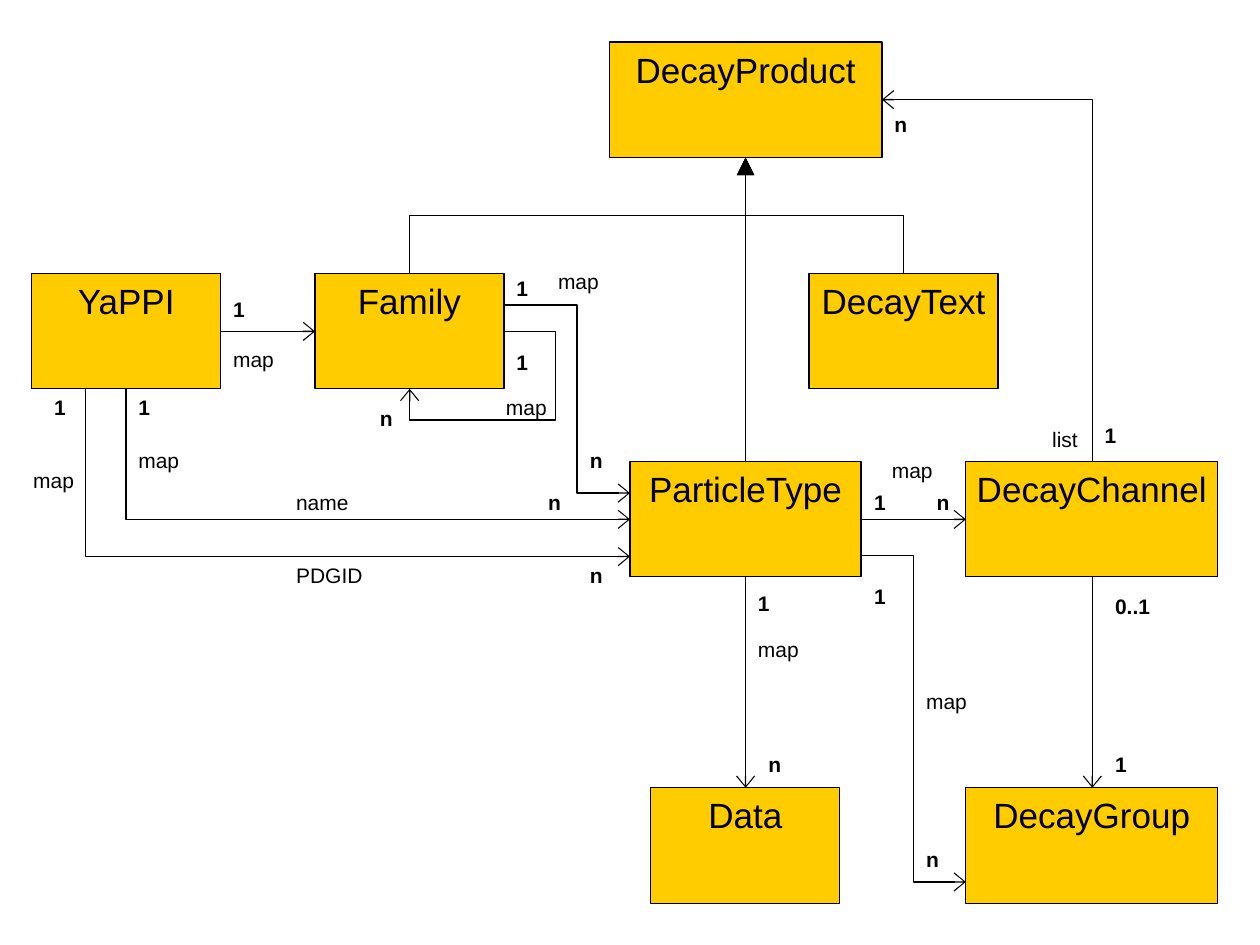
"""Build a class diagram slide of particle decay types and their relations."""
from dataclasses import dataclass
from typing import NamedTuple

from lxml.etree import SubElement
from pptx import Presentation
from pptx.dml.color import RGBColor
from pptx.enum.shapes import MSO_CONNECTOR as Route, MSO_SHAPE as Preset
from pptx.enum.text import MSO_ANCHOR as Anchor, MSO_AUTO_SIZE as AutoSize, PP_ALIGN as Align
from pptx.oxml.ns import qn
from pptx.util import Cm, Pt


@dataclass(frozen=True)
class Theme:
    font: str = "Arial"
    ink: RGBColor = RGBColor(0, 0, 0)
    box_fill: RGBColor = RGBColor(0xFF, 0xCC, 0x00)
    name_size: Pt = Pt(20)
    label_size: Pt = Pt(12)
    line_width: Pt = Pt(0.75)


class ClassBox(NamedTuple):
    name: str
    left: float
    top: float
    width: float


class Label(NamedTuple):
    text: str
    width: float
    bold: bool
    spots: list[tuple[float, float]]


class Link(NamedTuple):
    start: tuple[float, float]
    end: tuple[float, float]
    preset: str = "line"
    vertical: bool = False
    bends: tuple[int, ...] = ()
    arrow: str = "arrow"


THEME = Theme()
HEAD_LENGTHS = {"arrow": "med", "triangle": "lg"}
BOX_HEIGHT = 2.33
LABEL_HEIGHT = 0.76
TOP_ROW, MIDDLE_ROW, LOWER_ROW, BOTTOM_ROW = 0.85, 5.51, 9.3, 15.88
PARENT = (15.03, TOP_ROW + BOX_HEIGHT)

BOXES = [
    ClassBox("DecayProduct", 12.29, TOP_ROW, 5.49),
    ClassBox("YaPPI", 0.64, MIDDLE_ROW, 3.81),
    ClassBox("Family", 6.35, MIDDLE_ROW, 3.81),
    ClassBox("DecayText", 16.31, MIDDLE_ROW, 3.81),
    ClassBox("ParticleType", 12.7, LOWER_ROW, 4.66),
    ClassBox("DecayChannel", 19.47, LOWER_ROW, 5.08),
    ClassBox("Data", 13.12, BOTTOM_ROW, 3.81),
    ClassBox("DecayGroup", 19.47, BOTTOM_ROW, 5.08),
]

LINKS = [
    Link((8.26, MIDDLE_ROW), PARENT, "bentConnector3", True, (50000,), "triangle"),
    Link((18.21, MIDDLE_ROW), PARENT, "bentConnector3", True, (50000,), "triangle"),
    Link((15.03, LOWER_ROW), PARENT, arrow="triangle"),
    Link((10.16, 6.68), (8.26, 7.84), "bentConnector4", bends=(-55100, 154300)),
    Link((10.16, 6.15), (12.7, 9.94), "bentConnector3", bends=(58100,)),
    Link((4.45, 6.68), (6.35, 6.68)),
    Link((2.54, 7.84), (12.7, 10.47), "bentConnector2", True),
    Link((1.73, 7.84), (12.7, 11.22), "bentConnector2", True),
    Link((15.03, 11.63), (15.03, BOTTOM_ROW)),
    Link((22.02, LOWER_ROW), (17.78, 2.01), "bentConnector2", True),
    Link((22.02, 11.63), (22.02, BOTTOM_ROW)),
    Link((17.36, 10.47), (19.47, 10.47)),
    Link((17.36, 11.2), (19.47, 17.78), "bentConnector3", bends=(50000,)),
]

LABELS = [
    Label("1", 0.76, True, [
        (4.45, 5.85), (2.54, 7.82), (10.16, 5.44), (10.16, 6.92), (15.03, 11.79),
        (22.02, 8.39), (0.84, 7.82), (22.23, 15.03), (17.37, 9.74), (17.37, 11.63)]),
    Label("n", 0.81, True, [
        (17.78, 2.12), (15.24, 15.03), (7.41, 8.05), (11.64, 8.89),
        (10.8, 9.74), (11.64, 11.22), (18.63, 9.74), (18.42, 16.94)]),
    Label("0..1", 1.27, True, [(22.23, 11.85)]),
    Label("map", 1.4, False, [
        (17.73, 9.09), (15.03, 12.7), (9.95, 7.82), (4.45, 6.86),
        (2.54, 8.89), (11, 5.29), (18.42, 13.76), (0.42, 9.31)]),
    Label("list", 1.1, False, [(20.96, 8.47)]),
    Label("name", 1.65, False, [(5.72, 9.74)]),
    Label("PDGID", 1.95, False, [(5.72, 11.22)]),
]


def write(shape, text: str, size: Pt, bold: bool, align: Align) -> None:
    """Put one formatted, unwrapped line of text in a shape."""
    frame = shape.text_frame
    frame.text = text
    frame.word_wrap = False
    frame.vertical_anchor = Anchor.TOP
    para = frame.paragraphs[0]
    para.alignment = align
    font = para.runs[0].font
    font.name, font.size, font.bold = THEME.font, size, bold
    font.color.rgb = THEME.ink


def outline(shape) -> None:
    """Give a shape or connector the diagram's line."""
    shape.line.color.rgb = THEME.ink
    shape.line.width = THEME.line_width


def draw_box(page, item: ClassBox) -> None:
    """Draw a class as a titled rectangle."""
    box = page.shapes.add_shape(
        Preset.RECTANGLE, Cm(item.left), Cm(item.top), Cm(item.width), Cm(BOX_HEIGHT))
    box.shadow.inherit = False
    box.fill.solid()
    box.fill.fore_color.rgb = THEME.box_fill
    outline(box)
    write(box, item.name, THEME.name_size, False, Align.CENTER)


def draw_label(page, label: Label) -> None:
    """Draw a label at each of its spots."""
    for left, top in label.spots:
        box = page.shapes.add_textbox(Cm(left), Cm(top), Cm(label.width), Cm(LABEL_HEIGHT))
        write(box, label.text, THEME.label_size, label.bold, Align.LEFT)
        box.text_frame.auto_size = AutoSize.SHAPE_TO_FIT_TEXT


def draw_link(page, link: Link) -> None:
    """Draw a relation, turning its frame when it leaves vertically."""
    (x1, y1), (x2, y2) = link.start, link.end
    right, up = x2 > x1, y2 < y1
    ends = (x1, y1, x2, y2)
    if link.vertical:
        middle_x, middle_y = (x1 + x2) / 2, (y1 + y2) / 2
        half_width = abs(y2 - y1) / 2 * (-1 if right else 1)
        half_height = abs(x2 - x1) / 2 * (-1 if up else 1)
        ends = (middle_x - half_width, middle_y - half_height,
                middle_x + half_width, middle_y + half_height)
    route = Route.STRAIGHT if link.preset == "line" else Route.ELBOW
    connector = page.shapes.add_connector(route, *map(Cm, ends))
    outline(connector)
    properties = connector._element.spPr
    if link.vertical:
        degrees = 90 if up == right else 270
        properties.find(qn("a:xfrm")).set("rot", str(degrees * 60000))
    geometry = properties.find(qn("a:prstGeom"))
    geometry.set("prst", link.preset)
    guides = geometry.find(qn("a:avLst"))
    for number, bend in enumerate(link.bends, 1):
        SubElement(guides, qn("a:gd"), name=f"adj{number}", fmla=f"val {bend}")
    line = properties.find(qn("a:ln"))
    SubElement(line, qn("a:tailEnd"), type=link.arrow, w="lg", len=HEAD_LENGTHS[link.arrow])
    SubElement(properties, qn("a:effectLst"))


def main() -> None:
    """Assemble and save the deck."""
    deck = Presentation()
    deck.slide_width, deck.slide_height = Cm(25.4), Cm(19.05)
    page = deck.slides.add_slide(deck.slide_layouts[6])
    for items, draw in ((BOXES, draw_box), (LINKS, draw_link), (LABELS, draw_label)):
        for item in items:
            draw(page, item)
    deck.save("out.pptx")


if __name__ == "__main__":
    main()
